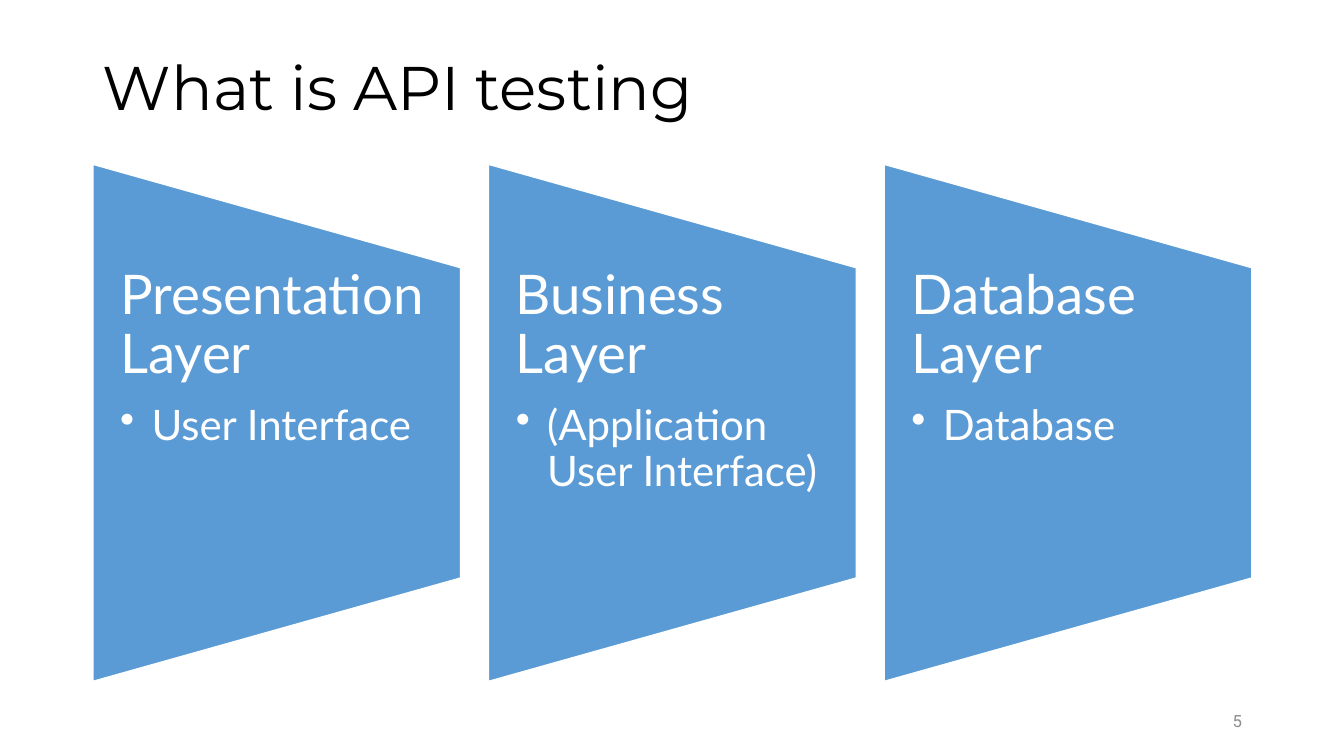
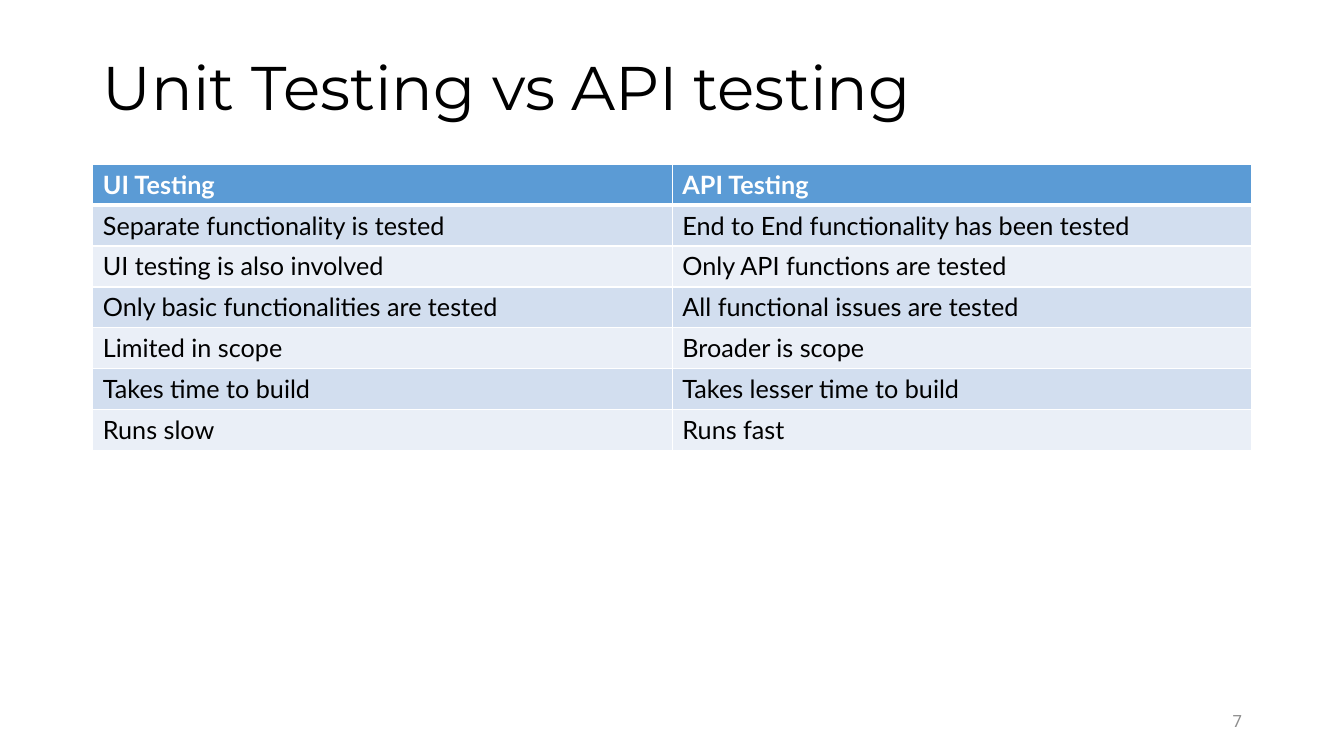
import pptx
import pptx.dml.color
import pptx.enum.shapes
import pptx.enum.text
import pptx.oxml
import pptx.oxml.ns
import pptx.util

Cm = pptx.util.Cm
Pt = pptx.util.Pt
Align = pptx.enum.text.PP_ALIGN
Anchor = pptx.enum.text.MSO_ANCHOR


def color(hex_string):
    return pptx.dml.color.RGBColor.from_string(hex_string)


class Slides:
    """Shared style, the deck and its current slide."""

    BLUE, WHITE, BLACK, GREY = "5B9BD5", "FFFFFF", "000000", "8C8C8C"
    BANDS = ("D2DEEF", "EAEFF7")
    TITLE_FONT, BODY_FONT, NUMBER_FONT = "Montserrat", "Lato", "Roboto"
    LEFT, WIDTH, TOP = 2.34, 29.21, 4.14

    def __init__(self):
        self.deck = pptx.Presentation()
        self.deck.slide_width = Cm(33.87)
        self.deck.slide_height = Cm(19.05)
        self.slide = None

    def add_slide(self, title, number):
        self.slide = self.deck.slides.add_slide(self.deck.slide_layouts[5])
        self.title(title)
        self.page_number(number)

    def set_text(self, para, text, font, size, hex_string, bold=False):
        para.text = text
        for span in para.runs:
            span.font.name = font
            span.font.size = Pt(size)
            span.font.bold = bold
            span.font.color.rgb = color(hex_string)

    def title(self, text):
        box = self.slide.shapes.title
        box.left, box.top = Cm(self.LEFT), Cm(1.02)
        box.width, box.height = Cm(self.WIDTH), Cm(2.51)
        frame = box.text_frame
        frame.auto_size = pptx.enum.text.MSO_AUTO_SIZE.NONE
        frame.vertical_anchor = Anchor.MIDDLE
        para = frame.paragraphs[0]
        para.alignment = Align.LEFT
        para.line_spacing = 0.9
        self.set_text(para, text, self.TITLE_FONT, 44, self.BLACK)

    def text_box(self, left, top, width, height):
        box = self.slide.shapes.add_textbox(Cm(left), Cm(top), Cm(width), Cm(height))
        box.text_frame.word_wrap = True
        return box.text_frame

    def page_number(self, number):
        width = 7.62
        frame = self.text_box(self.LEFT + self.WIDTH - width, 17.65, width, 1.02)
        frame.vertical_anchor = Anchor.MIDDLE
        para = frame.paragraphs[0]
        para.alignment = Align.RIGHT
        self.set_text(para, str(number), self.NUMBER_FONT, 12, self.GREY)

    def bullet(self, para):
        properties = para._p.get_or_add_pPr()
        properties.set("marL", str(Cm(0.79)))
        properties.set("indent", str(-Cm(0.79)))
        mark = pptx.oxml.parse_xml(
            f'<a:buChar {pptx.oxml.ns.nsdecls("a")} char="•"/>')
        properties.append(mark)

    def layer_panel(self, left, width, heading, detail):
        # The preset is turned a quarter left, so its sides swap around the centre
        height = 13.03
        center_x, center_y = left + width / 2, self.TOP + height / 2
        panel = self.slide.shapes.add_shape(
            pptx.enum.shapes.MSO_SHAPE.FLOWCHART_MANUAL_OPERATION,
            Cm(center_x - height / 2), Cm(center_y - width / 2), Cm(height), Cm(width))
        panel.rotation = 270
        panel.shadow.inherit = False
        panel.fill.solid()
        panel.fill.fore_color.rgb = color(self.BLUE)
        panel.line.color.rgb = color(self.WHITE)
        panel.line.width = Pt(1)

        # Upright text over the panel
        frame = self.text_box(left, 6.73, width, 7.82)
        frame.margin_left = frame.margin_right = Cm(0.69)
        frame.margin_top = frame.margin_bottom = 0
        paras = frame.paragraphs[0], frame.add_paragraph()
        for para, text, size, space in zip(paras, (heading, detail), (39, 30), (14, 4.5)):
            para.line_spacing = 0.9
            para.space_after = Pt(space)
            self.set_text(para, text, self.BODY_FONT, size, self.WHITE)
        paras[1].level = 1
        self.bullet(paras[1])

    def layer_row(self, layers):
        width = 9.27
        step = (self.WIDTH - width) / (len(layers) - 1)
        for index, (heading, detail) in enumerate(layers):
            self.layer_panel(self.LEFT + index * step, width, heading, detail)

    def cell_borders(self, cell, top, bottom):
        properties = cell._tc.get_or_add_tcPr()
        for side, points in (("L", 1), ("R", 1), ("T", top), ("B", bottom)):
            properties.append(pptx.oxml.parse_xml(
                f'<a:ln{side} {pptx.oxml.ns.nsdecls("a")} w="{Pt(points)}">'
                f'<a:solidFill><a:srgbClr val="{self.WHITE}"/></a:solidFill>'
                f'</a:ln{side}>'))

    def table(self, rows):
        row_height = 1.03
        table = self.slide.shapes.add_table(
            len(rows), len(rows[0]), Cm(self.LEFT), Cm(self.TOP),
            Cm(self.WIDTH), Cm(row_height * len(rows))).table
        for r, texts in enumerate(rows):
            header = r == 0
            fill = self.BLUE if header else self.BANDS[(r - 1) % 2]
            for c, text in enumerate(texts):
                cell = table.cell(r, c)
                self.cell_borders(cell, 3 if r == 1 else 1, 3 if header else 1)
                cell.fill.solid()
                cell.fill.fore_color.rgb = color(fill)
                self.set_text(cell.text_frame.paragraphs[0], text, self.BODY_FONT, 18,
                              self.WHITE if header else self.BLACK, header)


def main():
    slides = Slides()

    # Three application layers
    slides.add_slide("What is API testing", 5)
    slides.layer_row([
        ("Presentation Layer", "User Interface"),
        ("Business Layer", "(Application User Interface)"),
        ("Database Layer", "Database"),
    ])

    # Comparison table
    slides.add_slide("Unit Testing vs API testing", 7)
    slides.table([
        ("UI Testing", "API Testing"),
        ("Separate functionality is tested", "End to End functionality has been tested"),
        ("UI testing is also involved", "Only API functions are tested"),
        ("Only basic functionalities are tested", "All functional issues are tested"),
        ("Limited in scope", "Broader is scope"),
        ("Takes time to build", "Takes lesser time to build"),
        ("Runs slow", "Runs fast"),
    ])

    slides.deck.save("out.pptx")


if __name__ == "__main__":
    main()
